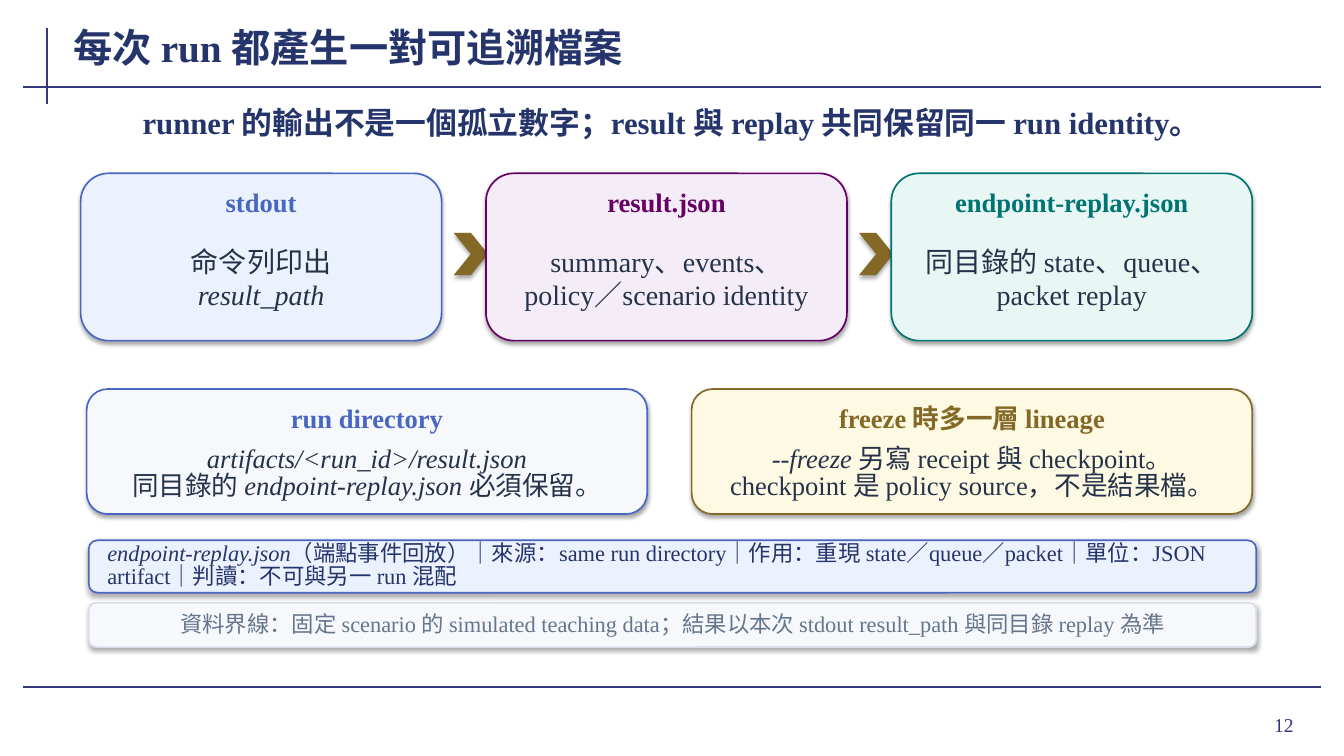
import pptx
import pptx.dml.color
import pptx.enum.shapes
import pptx.enum.text
import pptx.oxml.ns
import pptx.util
from lxml import etree

RGB = pptx.dml.color.RGBColor
SHAPE = pptx.enum.shapes.MSO_SHAPE
ALIGN = pptx.enum.text.PP_ALIGN
FIT = pptx.enum.text.MSO_AUTO_SIZE
MIDDLE = pptx.enum.text.MSO_ANCHOR.MIDDLE
Inches = pptx.util.Inches
Pt = pptx.util.Pt
qn = pptx.oxml.ns.qn

FONT = "Times New Roman"
RULE = RGB(0x35, 0x37, 0x7F)
NAVY = RGB(0x25, 0x35, 0x6B)
INK = RGB(0x25, 0x32, 0x4A)
SLATE = RGB(0x65, 0x75, 0x8B)
BLUE = RGB(0x49, 0x67, 0xC2)
PURPLE = RGB(0x66, 0x00, 0x66)
TEAL = RGB(0x00, 0x73, 0x74)
BROWN = RGB(0x84, 0x68, 0x26)
PALE_BLUE = RGB(0xEC, 0xF1, 0xFE)
PALE_PURPLE = RGB(0xF4, 0xED, 0xF7)
PALE_TEAL = RGB(0xE8, 0xF7, 0xF4)
PALE_YELLOW = RGB(0xFD, 0xF9, 0xE2)
PALE_GREY = RGB(0xF7, 0xF8, 0xFC)
BORDER_GREY = RGB(0xD7, 0xDE, 0xEA)

SLIDE_W, SLIDE_H = 13.33, 7.5
GAP = 0.44
ARROW_W, ARROW_H = 0.34, 0.42
ITALIC_MARK = "*"

FILES = [
    ("stdout", ["命令列印出", "*result_path*"], BLUE, PALE_BLUE),
    ("result.json", ["summary、events、", "policy／scenario identity"], PURPLE, PALE_PURPLE),
    ("endpoint-replay.json", ["同目錄的 state、queue、", "packet replay"], TEAL, PALE_TEAL),
]
RECORDS = [
    ("run directory",
     ["*artifacts/<run_id>/result.json*", "同目錄的 *endpoint-replay.json* 必須保留。"],
     BLUE, PALE_GREY),
    ("freeze 時多一層 lineage",
     ["*--freeze* 另寫 receipt 與 checkpoint。", "checkpoint 是 policy source，不是結果檔。"],
     BROWN, PALE_YELLOW),
]
REPLAY_NOTE = ("*endpoint-replay.json*（端點事件回放）｜來源：same run directory｜"
               "作用：重現 state／queue／packet｜單位：JSON artifact｜判讀：不可與另一 run 混配")
DATA_LIMIT = ("資料界線：固定 scenario 的 simulated teaching data；"
              "結果以本次 stdout result_path 與同目錄 replay 為準")


def write(frame, lines, size, color, bold=False, align=ALIGN.CENTER,
          spacing=None, insets=(0.02, 0), fit=FIT.NONE):
    frame.word_wrap = True
    frame.auto_size = fit
    frame.vertical_anchor = MIDDLE
    frame.margin_left = frame.margin_right = Inches(insets[0])
    frame.margin_top = frame.margin_bottom = Inches(insets[1])
    for index, line in enumerate(lines):
        paragraph = frame.add_paragraph() if index else frame.paragraphs[0]
        paragraph.alignment = align
        paragraph.line_spacing = spacing
        paragraph.font.name = FONT
        paragraph.font.size = Pt(size)
        paragraph.font.bold = bold
        paragraph.font.color.rgb = color
        for part, words in enumerate(line.split(ITALIC_MARK)):
            if words:
                run = paragraph.add_run()
                run.text = words
                if part % 2:
                    run.font.italic = True


def add_text(slide, box, lines, size, color, **options):
    label = slide.shapes.add_textbox(*map(Inches, box))
    write(label.text_frame, lines, size, color, **options)


def add_panel(slide, kind, box, fill, border=None):
    panel = slide.shapes.add_shape(kind, *map(Inches, box))
    panel.fill.solid()
    panel.fill.fore_color.rgb = fill
    if border is None:
        panel.line.fill.background()
    else:
        panel.line.color.rgb = border
        panel.line.width = Pt(1.2)
    panel.shadow.inherit = False
    effects = panel._element.spPr.find(qn("a:effectLst"))
    shadow = etree.SubElement(effects, qn("a:outerShdw"), blurRad=str(Pt(3.1)),
                              dist=str(Pt(1.8)), dir="5400000", rotWithShape="0")
    black = etree.SubElement(shadow, qn("a:srgbClr"), val="000000")
    etree.SubElement(black, qn("a:alpha"), val="35000")
    return panel


def add_rule(slide, *ends):
    rule = slide.shapes.add_connector(
        pptx.enum.shapes.MSO_CONNECTOR.STRAIGHT, *map(Inches, ends))
    rule.line.color.rgb = RULE
    rule.line.width = Pt(1.5)
    etree.SubElement(rule._element.spPr, qn("a:effectLst"))


def add_frame(slide, page):
    add_rule(slide, 0.47, 0.28, 0.47, 1.03)
    for y in (0.86, 6.82):
        add_rule(slide, 0.23, y, 13.1, y)
    add_text(slide, (11.96, 6.93, 0.97, 0.52), [page], 14, RULE,
             align=ALIGN.RIGHT, insets=(0.1, 0.05))


def add_heading(slide, box, words):
    title = slide.shapes.title
    title.left, title.top, title.width, title.height = map(Inches, box)
    write(title.text_frame, [words], 28, NAVY, bold=True,
          align=ALIGN.LEFT, insets=(0.01, 0))


def add_card(slide, box, content, size, spacing):
    heading, lines, accent, fill = content
    left, top, width, height = box
    add_panel(slide, SHAPE.ROUNDED_RECTANGLE, box, fill, accent)
    add_text(slide, (left + 0.16, top + 0.12, width - 0.32, 0.36), [heading], 19, accent,
             bold=True, spacing=0.92, fit=FIT.SHAPE_TO_FIT_TEXT)
    add_text(slide, (left + 0.18, top + 0.56, width - 0.36, height - 0.68), lines, size, INK,
             spacing=spacing, insets=(0.03, 0.02), fit=FIT.SHAPE_TO_FIT_TEXT)


def add_card_row(slide, box, cards, size, spacing, arrows=False):
    left, top, width, height = box
    card_w = (width - GAP * (len(cards) - 1)) / len(cards)
    for column, content in enumerate(cards):
        x = left + column * (card_w + GAP)
        if arrows and column:
            arrow_box = (x - 0.32, top + 0.59, ARROW_W, ARROW_H)
            add_panel(slide, SHAPE.CHEVRON, arrow_box, BROWN)
        add_card(slide, (x, top, card_w, height), content, size, spacing)


def add_strip(slide, box, words, color, fill, border, **options):
    strip = add_panel(slide, SHAPE.ROUNDED_RECTANGLE, box, fill, border)
    write(strip.text_frame, [words], 16, color, **options)


def main():
    deck = pptx.Presentation()
    deck.slide_width, deck.slide_height = Inches(SLIDE_W), Inches(SLIDE_H)
    slide = deck.slides.add_slide(deck.slide_layouts[5])
    add_frame(slide, "12")
    add_heading(slide, (0.72, 0.2, 10.35, 0.53), "每次 run 都產生一對可追溯檔案")
    add_text(slide, (0.92, 1.02, 11.48, 0.42),
             ["runner 的輸出不是一個孤立數字；result 與 replay 共同保留同一 run identity。"],
             22, NAVY, bold=True, spacing=0.94, fit=FIT.SHAPE_TO_FIT_TEXT)
    add_card_row(slide, (0.8, 1.72, 11.62, 1.66), FILES, 20, 0.96, arrows=True)
    add_card_row(slide, (0.86, 3.86, 11.56, 1.24), RECORDS, 19, 0.86)
    add_strip(slide, (0.88, 5.36, 11.58, 0.52), REPLAY_NOTE, NAVY, PALE_BLUE, BLUE,
              align=ALIGN.LEFT, spacing=0.86, insets=(0.16, 0.01))
    add_strip(slide, (0.88, 5.98, 11.58, 0.44), DATA_LIMIT, SLATE, PALE_GREY, BORDER_GREY,
              spacing=0.9, insets=(0.03, 0.01))
    deck.save("out.pptx")


if __name__ == "__main__":
    main()
